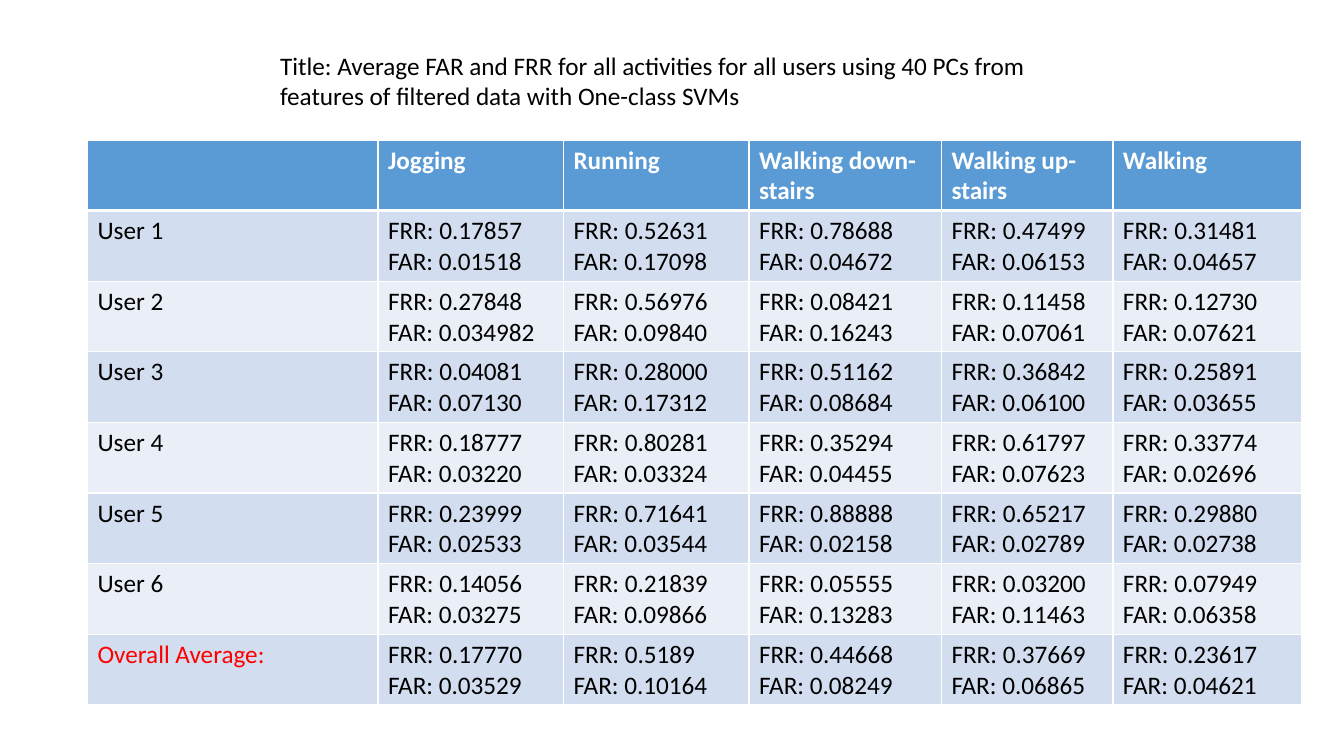
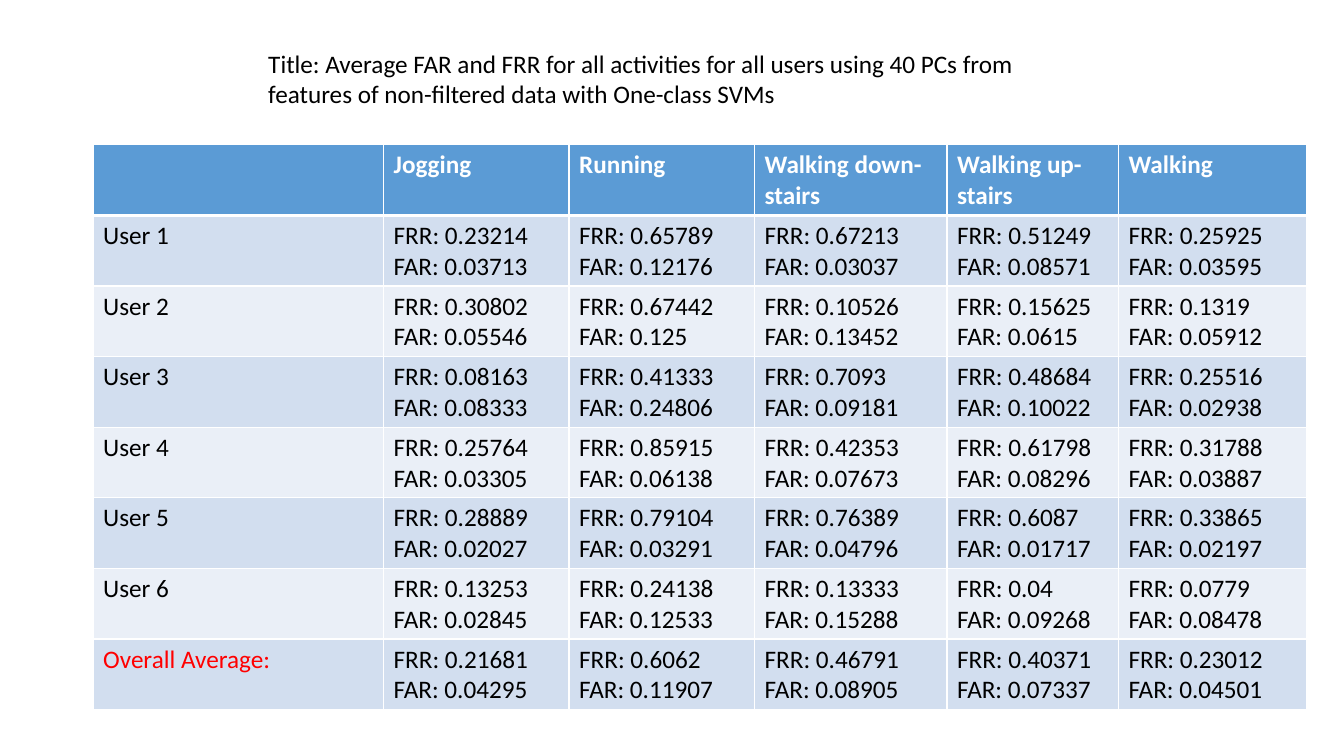
from lxml.etree import SubElement as Sub
from pptx import Presentation
from pptx.dml.color import RGBColor as RGB
from pptx.enum.text import MSO_AUTO_SIZE as Fit
from pptx.oxml.ns import qn
from pptx.util import Pt

HEADS = ["", "Jogging", "Running", "Walking down-stairs", "Walking up-stairs", "Walking"]
NAMES = [f"User {n}" for n in range(1, 7)] + ["Overall Average:"]
WIDTHS = [207.5, 132.5, 132.5, 137.5, 122.5, 134.5]

FILTERED = """
0.17857/0.01518 0.52631/0.17098 0.78688/0.04672 0.47499/0.06153 0.31481/0.04657
0.27848/0.034982 0.56976/0.09840 0.08421/0.16243 0.11458/0.07061 0.12730/0.07621
0.04081/0.07130 0.28000/0.17312 0.51162/0.08684 0.36842/0.06100 0.25891/0.03655
0.18777/0.03220 0.80281/0.03324 0.35294/0.04455 0.61797/0.07623 0.33774/0.02696
0.23999/0.02533 0.71641/0.03544 0.88888/0.02158 0.65217/0.02789 0.29880/0.02738
0.14056/0.03275 0.21839/0.09866 0.05555/0.13283 0.03200/0.11463 0.07949/0.06358
0.17770/0.03529 0.5189/0.10164 0.44668/0.08249 0.37669/0.06865 0.23617/0.04621
"""
RAW = """
0.23214/0.03713 0.65789/0.12176 0.67213/0.03037 0.51249/0.08571 0.25925/0.03595
0.30802/0.05546 0.67442/0.125 0.10526/0.13452 0.15625/0.0615 0.1319/0.05912
0.08163/0.08333 0.41333/0.24806 0.7093/0.09181 0.48684/0.10022 0.25516/0.02938
0.25764/0.03305 0.85915/0.06138 0.42353/0.07673 0.61798/0.08296 0.31788/0.03887
0.28889/0.02027 0.79104/0.03291 0.76389/0.04796 0.6087/0.01717 0.33865/0.02197
0.13253/0.02845 0.24138/0.12533 0.13333/0.15288 0.04/0.09268 0.0779/0.08478
0.21681/0.04295 0.6062/0.11907 0.46791/0.08905 0.40371/0.07337 0.23012/0.04501
"""


def color(code):
    return RGB.from_string(code)


class Deck:
    """Holds the shared style and the current slide."""

    face, size = "Calibri", 18
    ink, white, red = "000000", "FFFFFF", "FF0000"
    head, bands = "5B9BD5", ("EAEFF7", "D2DEEF")
    row_high = 50.4

    def __init__(self):
        self.show = Presentation()
        self.show.slide_width, self.show.slide_height = Pt(960), Pt(540)
        self.slide = None

    def add(self):
        self.slide = self.show.slides.add_slide(self.show.slide_layouts[6])

    def label(self, frame, text, tint, bold=False):
        frame.text = text
        for para in frame.paragraphs:
            font = para.font
            font.name, font.size, font.bold = self.face, Pt(self.size), bold
            font.color.rgb = color(tint)

    def title(self, text, left, top):
        box = self.slide.shapes.add_textbox(Pt(left), Pt(top), Pt(585.5), Pt(51))
        frame = box.text_frame
        frame.word_wrap, frame.auto_size = True, Fit.SHAPE_TO_FIT_TEXT
        self.label(frame, text, self.ink)

    def edge(self, cell, side, width):
        line = Sub(cell._tc.get_or_add_tcPr(), qn(f"a:ln{side}"), w=str(Pt(width)))
        fill = Sub(line, qn("a:solidFill"))
        Sub(fill, qn("a:srgbClr"), val=self.white)

    def cell(self, cell, text, row):
        tint = self.white if row == 0 else self.ink
        if text == NAMES[-1]:
            tint = self.red
        self.label(cell.text_frame, text, tint, row == 0)
        for side in "LRTB":
            thick = (row, side) in ((0, "B"), (1, "T"))
            self.edge(cell, side, 3 if thick else 1)
        cell.fill.solid()
        cell.fill.fore_color.rgb = color(self.bands[row % 2] if row else self.head)

    def table(self, rows, left, top):
        high = self.row_high * len(rows)
        grid = self.slide.shapes.add_table(
            len(rows), len(WIDTHS), Pt(left), Pt(top), Pt(sum(WIDTHS)), Pt(high)
        ).table
        for col, width in zip(grid.columns, WIDTHS):
            col.width = Pt(width)
        for r, row in enumerate(rows):
            grid.rows[r].height = Pt(self.row_high)
            for c, text in enumerate(row):
                self.cell(grid.cell(r, c), text, r)


def rates(pair):
    frr, far = pair.split("/")
    return f"FRR: {frr}\nFAR: {far}"


def main():
    deck = Deck()
    for kind, data, head_at, grid_at in (
        ("filtered", FILTERED, (193, 32.5), (62.5, 100)),
        ("non-filtered", RAW, (184.5, 31), (66.5, 103.5)),
    ):
        deck.add()
        deck.title(
            "Title: Average FAR and FRR for all activities for all users using 40 PCs "
            f"from features of {kind} data with One-class SVMs", *head_at
        )
        lines = data.strip().splitlines()
        rows = [[name, *map(rates, line.split())] for name, line in zip(NAMES, lines)]
        deck.table([HEADS, *rows], *grid_at)
    deck.show.save("out.pptx")


if __name__ == "__main__":
    main()
